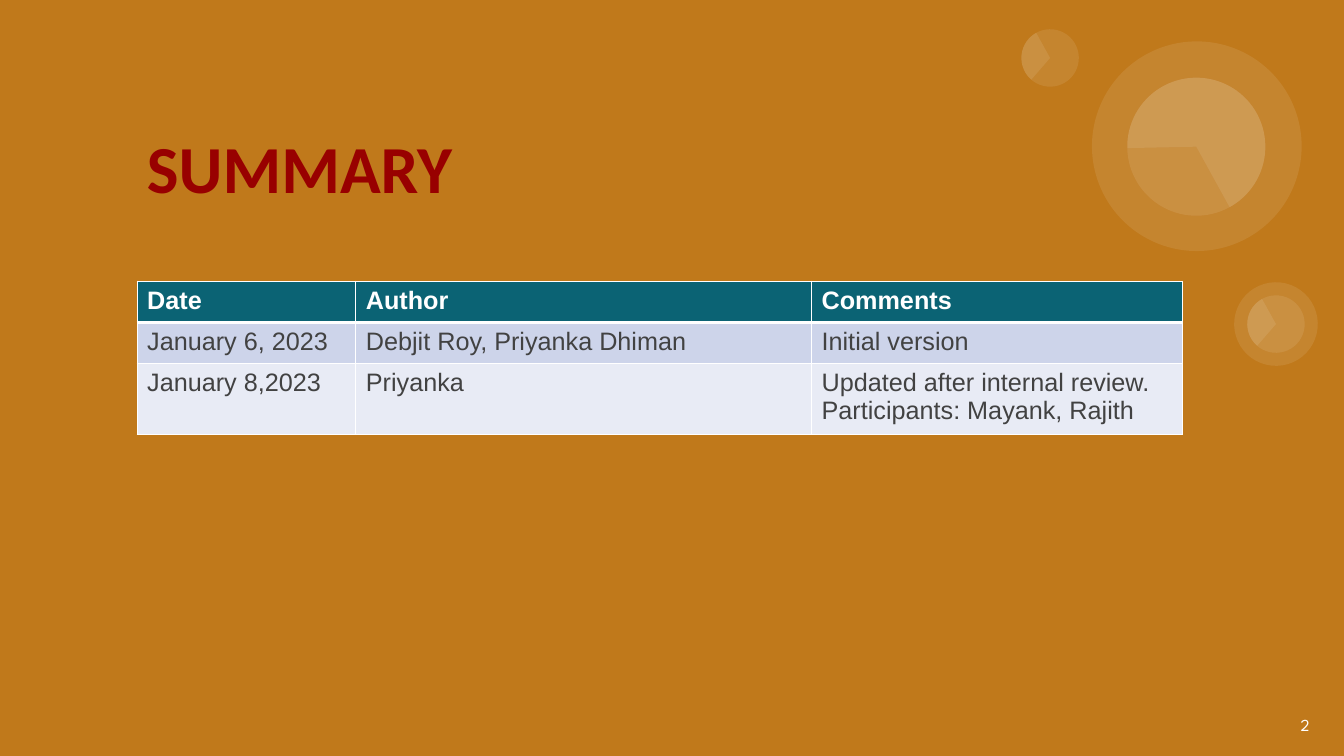
from lxml.etree import SubElement
from pptx import Presentation
from pptx.dml.color import RGBColor
from pptx.enum.shapes import MSO_SHAPE as Shape
from pptx.enum.text import MSO_ANCHOR as Anchor, PP_ALIGN as Align
from pptx.oxml import parse_xml
from pptx.oxml.ns import nsdecls, qn
from pptx.util import Inches, Pt

BACKGROUND = "C0791B"
WHITE = "FFFFFF"
TITLE = "SUMMARY"
PAGE_NUMBER = "2"
ROWS = [
    ("Date", "Author", "Comments"),
    ("January 6, 2023", "Debjit Roy, Priyanka Dhiman", "Initial version"),
    ("January 8,2023", "Priyanka",
     "Updated after internal review.\nParticipants: Mayank, Rajith"),
]
COLUMN_WIDTHS = [2.17, 4.52, 3.68]
ROW_HEIGHTS = [0.41, 0.41, 0.7]
ROW_FILLS = ["0B6374", "CDD4EA", "E8EBF5"]
SMALL_PIE = (56.999, 123.136)
BIG_PIE = (193.768, 123.136)
CIRCLES = [
    (11.18, 0.77, 1.37, 215.9, BIG_PIE),
    (10.83, 0.41, 2.08, 215.8, None),
    (12.24, 2.8, 0.83, 35.9, None),
    (12.37, 2.93, 0.57, 35.8, SMALL_PIE),
    (10.13, 0.29, 0.57, 35.8, SMALL_PIE),
]


def rgb(value):
    return RGBColor.from_string(value)


def add_disc(slide, kind, left, top, size, rotation, angles=()):
    shape = slide.shapes.add_shape(
        kind, Inches(left), Inches(top), Inches(size), Inches(size))
    shape.shadow.inherit = False
    shape.rotation = rotation
    for index, angle in enumerate(angles):
        shape.adjustments[index] = angle
    shape.line.fill.background()
    shape.fill.solid()
    shape.fill.fore_color.rgb = rgb(WHITE)
    color = shape.fill._xPr.find(qn("a:solidFill"))[0]
    SubElement(color, qn("a:alpha")).set("val", "9000")


def style_text(paragraph, font_name, size, color, bold=False):
    font = paragraph.font
    font.name, font.size, font.bold = font_name, Pt(size), bold
    font.color.rgb = rgb(color)


def add_text(slide, text, left, top, width, height, margins):
    box = slide.shapes.add_textbox(
        Inches(left), Inches(top), Inches(width), Inches(height))
    frame = box.text_frame
    frame.word_wrap = True
    frame.vertical_anchor = Anchor.MIDDLE
    frame.margin_left = frame.margin_right = Inches(margins[0])
    frame.margin_top = frame.margin_bottom = Inches(margins[1])
    frame.text = text
    return frame.paragraphs[0]


def set_borders(cell, widths):
    properties = cell._tc.get_or_add_tcPr()
    for index, (side, width) in enumerate(widths.items()):
        properties.insert(index, parse_xml(
            f'<a:ln{side} {nsdecls("a")} w="{Pt(width)}"><a:solidFill>'
            f'<a:srgbClr val="{WHITE}"/></a:solidFill></a:ln{side}>'))


def add_history(slide):
    table = slide.shapes.add_table(
        len(ROWS), len(COLUMN_WIDTHS), Inches(1.36), Inches(2.79),
        Inches(sum(COLUMN_WIDTHS)), Inches(sum(ROW_HEIGHTS))).table
    for column, width in zip(table.columns, COLUMN_WIDTHS):
        column.width = Inches(width)
    for index, texts in enumerate(ROWS):
        table.rows[index].height = Inches(ROW_HEIGHTS[index])
        header = index == 0
        borders = {"L": 1, "R": 1, "T": 3 if index == 1 else 1,
                   "B": 3 if header else 1}
        for cell, text in zip(table.rows[index].cells, texts):
            cell.text = text
            cell.fill.solid()
            cell.fill.fore_color.rgb = rgb(ROW_FILLS[index])
            set_borders(cell, borders)
            for paragraph in cell.text_frame.paragraphs:
                style_text(paragraph, "Arial", 18,
                           WHITE if header else "424242", header)


def main():
    presentation = Presentation()
    presentation.slide_width = Inches(13.33)
    presentation.slide_height = Inches(7.5)
    slide = presentation.slides.add_slide(presentation.slide_layouts[6])
    slide.background.fill.solid()
    slide.background.fill.fore_color.rgb = rgb(BACKGROUND)

    for left, top, size, rotation, angles in CIRCLES:
        add_disc(slide, Shape.OVAL, left, top, size, rotation)
        if angles:
            add_disc(slide, Shape.PIE, left, top, size, rotation, angles)

    title = add_text(slide, TITLE, 1.36, 1.17, 8.54, 1.07, (0.1, 0.05))
    title.line_spacing = 0.9
    style_text(title, "Calibri", 48, "980000", True)

    add_history(slide)

    number = add_text(slide, PAGE_NUMBER, 12.32, 6.91, 0.8, 0.57, (0.13, 0.13))
    number.alignment = Align.RIGHT
    style_text(number, "League Spartan", 12, WHITE)

    presentation.save("out.pptx")


if __name__ == "__main__":
    main()
